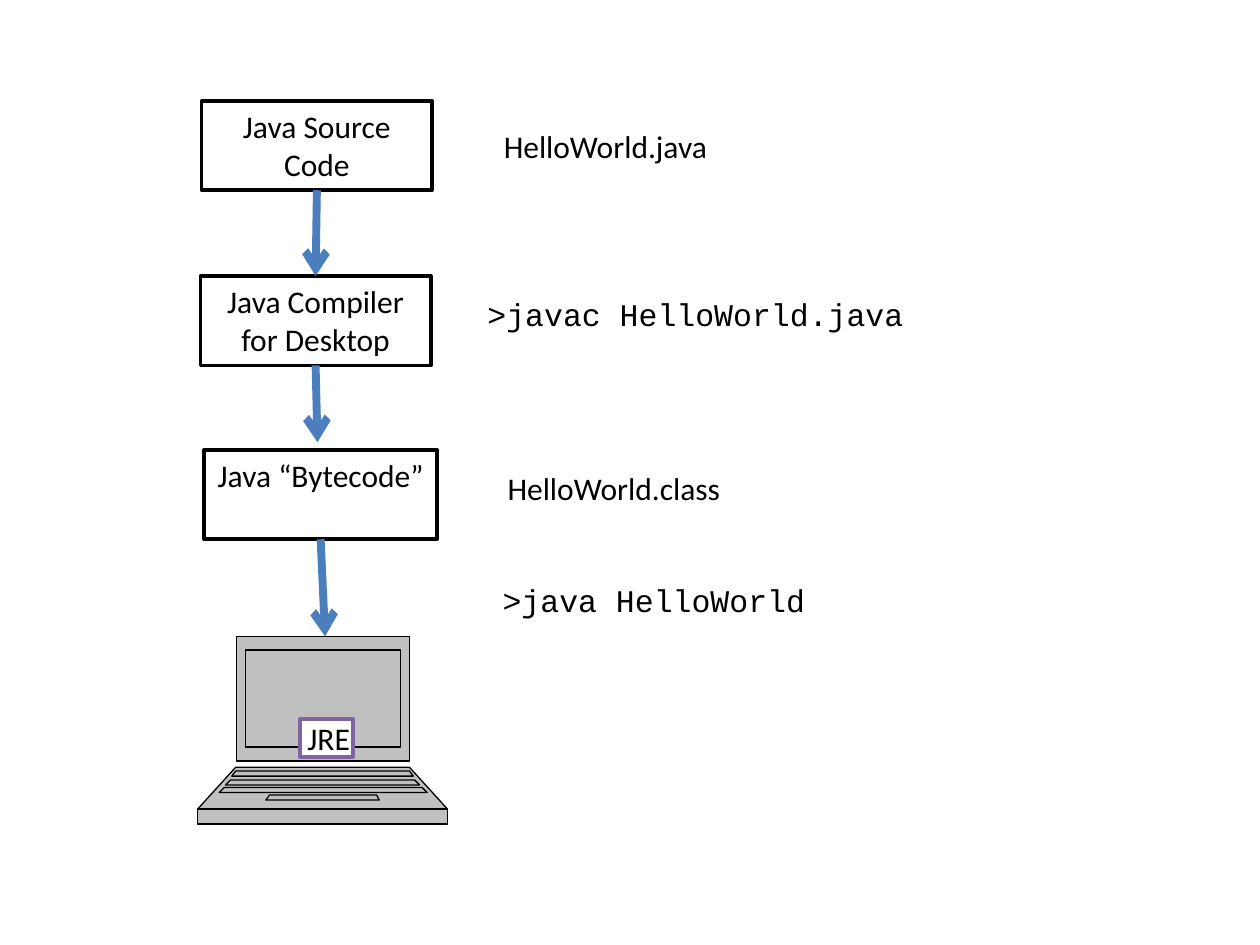
from lxml.etree import SubElement
from pptx import Presentation
from pptx.dml.color import RGBColor
from pptx.enum.shapes import MSO_CONNECTOR, MSO_SHAPE
from pptx.enum.text import MSO_ANCHOR, PP_ALIGN
from pptx.oxml.ns import qn
from pptx.util import Inches, Pt

LAPTOP_PARTS = [
    (5.05, 6.04, 1.88, 3.25, 1.88, 3.25),
    (6.09, 6.42, 1.87, 3.25, 1.57, 3.55),
    (6.42, 6.54, 1.57, 3.55, 1.57, 3.55),
    (5.16, 5.93, 1.95, 3.18, 1.95, 3.18),
    (6.12, 6.16, 1.87, 3.25, 1.84, 3.28),
    (6.31, 6.35, 2.14, 2.99, 2.11, 3.01),
    (6.19, 6.23, 1.83, 3.29, 1.79, 3.33),
    (6.25, 6.29, 1.78, 3.35, 1.74, 3.39),
]


def rgb(value):
    """Turn a hex string into a colour."""
    return RGBColor.from_string(value)


def paint(sp, fill, line, weight):
    """Give a shape its fill and outline, without a shadow."""
    sp.shadow.inherit = False
    sp.fill.solid()
    sp.fill.fore_color.rgb = rgb(fill)
    sp.line.color.rgb = rgb(line)
    sp.line.width = Pt(weight)


def write(sp, text, font="Calibri", size=18, color="000000",
          align=PP_ALIGN.LEFT, wrap=True):
    """Write top-anchored text into a shape."""
    tf = sp.text_frame
    tf.word_wrap = wrap
    tf.vertical_anchor = MSO_ANCHOR.TOP
    p = tf.paragraphs[0]
    p.alignment = align
    r = p.add_run()
    r.text = text
    r.font.name = font
    r.font.size = Pt(size)
    r.font.color.rgb = rgb(color)


def add_box(slide, x, y, w, h, text, line="000000", weight=2, **fmt):
    """Add a white outlined rectangle with text."""
    sp = slide.shapes.add_shape(MSO_SHAPE.RECTANGLE, Inches(x), Inches(y),
                                Inches(w), Inches(h))
    paint(sp, "FFFFFF", line, weight)
    write(sp, text, **fmt)
    return sp


def add_label(slide, x, y, w, text, **fmt):
    """Add a one-line text box."""
    sp = slide.shapes.add_textbox(Inches(x), Inches(y), Inches(w), Inches(0.4))
    write(sp, text, **fmt)


def add_arrow(slide, source, x, y, target=None):
    """Add an arrow from the bottom of a box to a point or another box."""
    start_x = source.left + source.width // 2
    start_y = source.top + source.height
    arrow = slide.shapes.add_connector(MSO_CONNECTOR.STRAIGHT, start_x, start_y,
                                       Inches(x), Inches(y))
    arrow.begin_connect(source, 2)
    if target is not None:
        arrow.end_connect(target, 0)
    arrow.line.color.rgb = rgb("4B7EBC")
    arrow.line.width = Pt(4.5)
    SubElement(arrow.line._get_or_add_ln(), qn("a:tailEnd"), type="arrow")
    SubElement(arrow._element.spPr, qn("a:effectLst"))


def add_laptop(slide):
    """Draw the laptop as a group of four-sided outlines."""
    group = slide.shapes.add_group_shape()
    for top, bottom, top_left, top_right, low_left, low_right in LAPTOP_PARTS:
        builder = group.shapes.build_freeform(Inches(top_left), Inches(top))
        corners = [(top_right, top), (low_right, bottom), (low_left, bottom)]
        builder.add_line_segments([(Inches(x), Inches(y)) for x, y in corners])
        paint(builder.convert_to_shape(), "C0C0C0", "000000", 0.75)


def add_jre(slide):
    """Add the runtime badge on the laptop screen."""
    sp = add_box(slide, 2.38, 5.71, 0.42, 0.3, "JRE", line="8064A2",
                 weight=2.25, wrap=False)
    tf = sp.text_frame
    tf.margin_left = Inches(0.06)
    tf.margin_top = tf.margin_right = tf.margin_bottom = 0


def main():
    """Build the slide on compiling and running Java."""
    prs = Presentation()
    prs.slide_width, prs.slide_height = Inches(10), Inches(7.5)
    slide = prs.slides.add_slide(prs.slide_layouts[6])

    steps = [
        (1.6, 0.8, 1.83, "Java Source Code"),
        (1.59, 2.19, 1.83, "Java Compiler for Desktop"),
        (1.62, 3.57, 1.85, "Java “Bytecode”"),
    ]
    source, compiler, bytecode = [
        add_box(slide, x, y, w, 0.71, text, align=PP_ALIGN.CENTER)
        for x, y, w, text in steps
    ]
    add_arrow(slide, source, 2.51, 2.19, compiler)
    add_arrow(slide, compiler, 2.52, 3.51)

    labels = [
        (3.9, 0.96, 2.04, "HelloWorld.java", "Calibri"),
        (3.77, 2.29, 3.85, ">javac HelloWorld.java", "Courier New"),
        (3.93, 3.67, 2.04, "HelloWorld.class", "Calibri"),
        (3.89, 4.56, 3.85, ">java HelloWorld", "Courier New"),
    ]
    for x, y, w, text, font in labels:
        add_label(slide, x, y, w, text, font=font)

    add_laptop(slide)
    add_arrow(slide, bytecode, 2.58, 5.05)
    add_jre(slide)
    prs.save("out.pptx")


if __name__ == "__main__":
    main()
